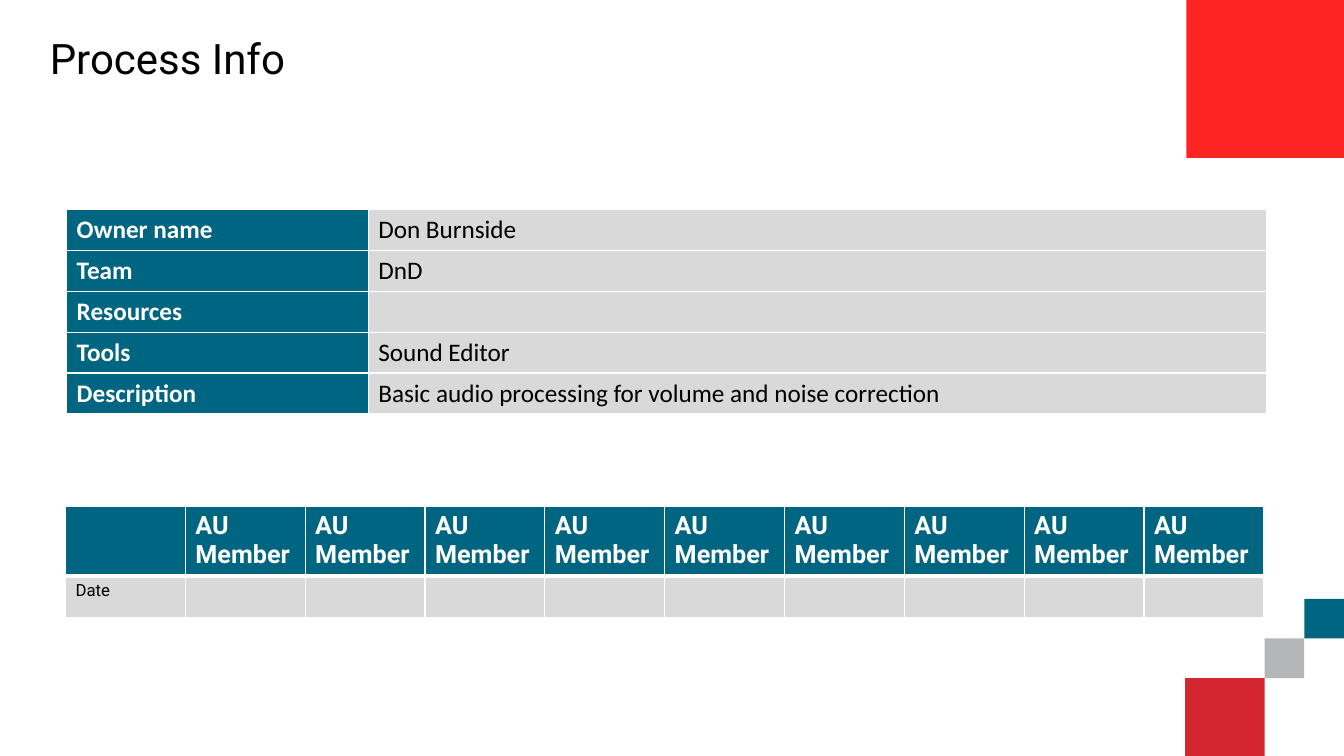
from dataclasses import dataclass

from lxml.etree import SubElement
from pptx import Presentation
from pptx.dml.color import RGBColor
from pptx.enum.shapes import MSO_SHAPE
from pptx.enum.text import MSO_ANCHOR, PP_ALIGN
from pptx.oxml.ns import qn
from pptx.util import Cm, Pt

TITLE = "Process Info"
INFO = [
    ("Owner name", "Don Burnside"),
    ("Team", "DnD"),
    ("Resources", ""),
    ("Tools", "Sound Editor"),
    ("Description", "Basic audio processing for volume and noise correction"),
]
MEMBERS = 9
SCHEDULE = [
    [""] + ["AU Member"] * MEMBERS,
    ["Date"] + [""] * MEMBERS,
]


@dataclass(frozen=True)
class Theme:
    teal: str = "006580"
    grey: str = "B4B6B8"
    crimson: str = "D22630"
    red: str = "FF2424"
    pale: str = "D9D9D9"
    white: str = "FFFFFF"
    black: str = "000000"
    title_font: str = "Roboto"
    info_font: str = "Calibri"
    title_size: int = 30
    body_size: int = 18
    small_size: int = 12
    thin: float = 1
    thick: float = 3


T = Theme()
HEAD = dict(size=Pt(T.body_size), bold=True, color=T.white)
BODY = dict(size=Pt(T.body_size), bold=False, color=T.black)
SMALL = BODY | dict(size=Pt(T.small_size))


def set_font(font, color, **values):
    font.color.rgb = RGBColor.from_string(color)
    for name, value in values.items():
        setattr(font, name, value)


def add_square(slide, x, y, side, color):
    sp = slide.shapes.add_shape(MSO_SHAPE.RECTANGLE, Cm(x), Cm(y), Cm(side), Cm(side))
    sp.shadow.inherit = False
    sp.fill.solid()
    sp.fill.fore_color.rgb = RGBColor.from_string(color)
    sp.line.fill.background()


def add_decoration(slide):
    """Corner block, and squares stepping up to the right, corner to corner."""
    x, y = 29.87, 17.09
    for side, color in ((2, T.crimson), (1, T.grey), (1, T.teal)):
        add_square(slide, x, y, side, color)
        x, y = x + side, y - 1
    add_square(slide, 29.9, -0.02, 4, T.red)


def set_borders(cell, top, bottom):
    tcPr = cell._tc.get_or_add_tcPr()
    widths = dict(lnL=T.thin, lnR=T.thin, lnT=top, lnB=bottom)
    for tag, width in widths.items():
        ln = SubElement(tcPr, qn(f"a:{tag}"), w=str(Pt(width)))
        SubElement(SubElement(ln, qn("a:solidFill")), qn("a:srgbClr"), val=T.white)


def fill_cell(cell, text, fill, font, top=T.thin, bottom=T.thin):
    set_borders(cell, top, bottom)
    cell.fill.solid()
    cell.fill.fore_color.rgb = RGBColor.from_string(fill)
    if text:
        r = cell.text_frame.paragraphs[0].add_run()
        r.text = text
        set_font(r.font, **font)


def add_grid(slide, x, y, widths, heights):
    frame = slide.shapes.add_table(len(heights), len(widths), Cm(x), Cm(y),
                                   Cm(sum(widths)), Cm(sum(heights)))
    table = frame.table
    table.first_row = table.horz_banding = False
    for col, width in zip(table.columns, widths):
        col.width = Cm(width)
    for row, height in zip(table.rows, heights):
        row.height = Cm(height)
    return table


def add_info(slide):
    table = add_grid(slide, 1.68, 5.28, [7.6, 22.63], [1.03] * len(INFO))
    for i, (label, value) in enumerate(INFO):
        fill_cell(table.cell(i, 0), label, T.teal, HEAD | dict(name=T.info_font))
        fill_cell(table.cell(i, 1), value, T.pale, BODY | dict(name=T.info_font))


def add_schedule(slide):
    table = add_grid(slide, 1.65, 12.75, [3.02] * (MEMBERS + 1), [1.77, 1.03])
    styles = [
        dict(fill=T.teal, font=HEAD | dict(name=T.title_font), bottom=T.thick),
        dict(fill=T.pale, font=SMALL | dict(name=T.title_font), top=T.thick),
    ]
    for i, (row, style) in enumerate(zip(SCHEDULE, styles)):
        for j, text in enumerate(row):
            fill_cell(table.cell(i, j), text, **style)


def add_title(slide):
    sp = slide.shapes.title
    sp.left, sp.top, sp.width, sp.height = Cm(1), Cm(0.3), Cm(29.49), Cm(2.49)
    tf = sp.text_frame
    tf.text = TITLE
    tf.vertical_anchor = MSO_ANCHOR.MIDDLE
    p = tf.paragraphs[0]
    p.alignment = PP_ALIGN.LEFT
    p.line_spacing = 0.9
    set_font(p.runs[0].font, T.black, name=T.title_font, size=Pt(T.title_size))


def main():
    prs = Presentation()
    prs.slide_width, prs.slide_height = Cm(33.87), Cm(19.05)
    slide = prs.slides.add_slide(prs.slide_layouts.get_by_name("Title Only"))
    add_decoration(slide)
    add_info(slide)
    add_schedule(slide)
    add_title(slide)
    prs.save("out.pptx")


if __name__ == "__main__":
    main()
